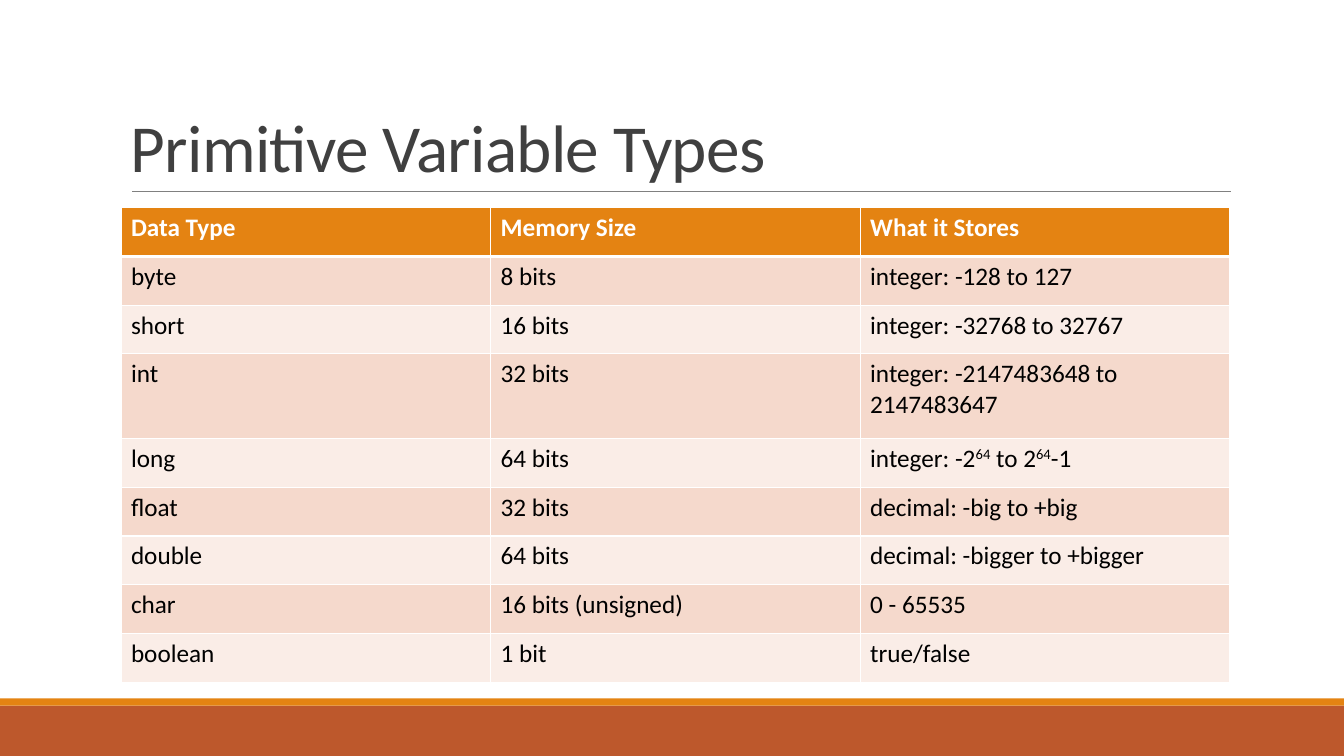
from dataclasses import dataclass

from lxml.etree import SubElement
from pptx import Presentation
from pptx.dml.color import RGBColor
from pptx.enum.shapes import MSO_CONNECTOR, MSO_SHAPE
from pptx.enum.text import MSO_ANCHOR
from pptx.oxml.ns import qn
from pptx.slide import Slide
from pptx.table import _Cell
from pptx.text.text import _Paragraph
from pptx.util import Inches, Pt

WHITE = RGBColor(0xFF, 0xFF, 0xFF)
BLACK = RGBColor(0x00, 0x00, 0x00)
INK = RGBColor(0x40, 0x40, 0x40)
GREY = RGBColor(0x80, 0x80, 0x80)
ORANGE = RGBColor(0xE4, 0x83, 0x12)
RUST = RGBColor(0xBD, 0x58, 0x2C)
BANDS = (RGBColor(0xFA, 0xED, 0xE7), RGBColor(0xF5, 0xD9, 0xCC))

FONT = "Calibri"
STEP = Inches(0.1)
WIDE, HIGH = 133.33, 75
TALL_ROW = 3
TALL = 8.4

TYPES = (
    ("Data Type", "Memory Size", "What it Stores"),
    ("byte", "8 bits", "integer: -128 to 127"),
    ("short", "16 bits", "integer: -32768 to 32767"),
    ("int", "32 bits", "integer: -2147483648 to 2147483647"),
    ("long", "64 bits", "integer: -2^64^ to 2^64^-1"),
    ("float", "32 bits", "decimal: -big to +big"),
    ("double", "64 bits", "decimal: -bigger to +bigger"),
    ("char", "16 bits (unsigned)", "0 - 65535"),
    ("boolean", "1 bit", "true/false"),
)


def grid(count: float) -> int:
    return round(count * STEP)


@dataclass(frozen=True)
class Area:
    col: float
    row: float
    wide: float
    high: float

    def place(self) -> tuple[int, ...]:
        return tuple(map(grid, (self.col, self.row, self.wide, self.high)))


@dataclass(frozen=True)
class Bar:
    area: Area
    color: RGBColor


BARS = (
    Bar(Area(0, 70, WIDE, 5), RUST),
    Bar(Area(0, 69.3, WIDE, 0.7), ORANGE),
)
TITLE = Area(12, 3.1, 110, 15.9)
TABLE = Area(12, 20.6, 110, 47.1)


def draw_bar(slide: Slide, bar: Bar) -> None:
    shape = slide.shapes.add_shape(MSO_SHAPE.RECTANGLE, *bar.area.place())
    shape.shadow.inherit = False
    shape.fill.solid()
    shape.fill.fore_color.rgb = bar.color
    shape.line.fill.background()


def draw_rule(slide: Slide) -> None:
    ends = map(grid, (13.1, 19, 122.1, 19))
    rule = slide.shapes.add_connector(MSO_CONNECTOR.STRAIGHT, *ends)
    rule.line.color.rgb = GREY
    rule.line.width = Pt(0.5)
    SubElement(rule.element.spPr, qn("a:effectLst"))


def write(para: _Paragraph, text: str, size: int, color: RGBColor, bold: bool = False) -> None:
    look = {"name": FONT, "size": Pt(size), "bold": bold}
    for turn, part in enumerate(text.split("^")):
        run = para.add_run()
        run.text = part
        for key, value in look.items():
            setattr(run.font, key, value)
        run.font.color.rgb = color
        if turn % 2:
            run.font._element.set("baseline", "30000")


def draw_title(slide: Slide) -> None:
    box = slide.shapes.add_textbox(*TITLE.place())
    frame = box.text_frame
    for key, value in {"word_wrap": True, "vertical_anchor": MSO_ANCHOR.BOTTOM}.items():
        setattr(frame, key, value)
    para = frame.paragraphs[0]
    para.line_spacing = 0.85
    write(para, "Primitive Variable Types", 48, INK)
    para.runs[0].font._element.set("spc", "-50")


def edge(cell: _Cell, sides: dict[str, int]) -> None:
    props = cell._tc.get_or_add_tcPr()
    for side, width in sides.items():
        line = SubElement(props, qn(f"a:ln{side}"), w=str(Pt(width)))
        paint = SubElement(line, qn("a:solidFill"))
        SubElement(paint, qn("a:srgbClr"), val=str(WHITE))


def draw_table(slide: Slide) -> None:
    rows, cols = len(TYPES), len(TYPES[0])
    table = slide.shapes.add_table(rows, cols, *TABLE.place()).table
    table.horz_banding = False
    for col in table.columns:
        col.width = grid(TABLE.wide / cols)
    short = (TABLE.high - TALL) / (rows - 1)
    for index, texts in enumerate(TYPES):
        table.rows[index].height = grid(TALL if index == TALL_ROW else short)
        head = index == 0
        sides = {"L": 1, "R": 1, "T": 3 if index == 1 else 1, "B": 3 if head else 1}
        for cell, text in zip(table.rows[index].cells, texts):
            edge(cell, sides)
            cell.fill.solid()
            cell.fill.fore_color.rgb = ORANGE if head else BANDS[index % 2]
            write(cell.text_frame.paragraphs[0], text, 18, WHITE if head else BLACK, head)


def main() -> None:
    deck = Presentation()
    deck.slide_width, deck.slide_height = grid(WIDE), grid(HIGH)
    slide = deck.slides.add_slide(deck.slide_layouts[6])
    for bar in BARS:
        draw_bar(slide, bar)
    draw_rule(slide)
    draw_title(slide)
    draw_table(slide)
    deck.save("out.pptx")


if __name__ == "__main__":
    main()
